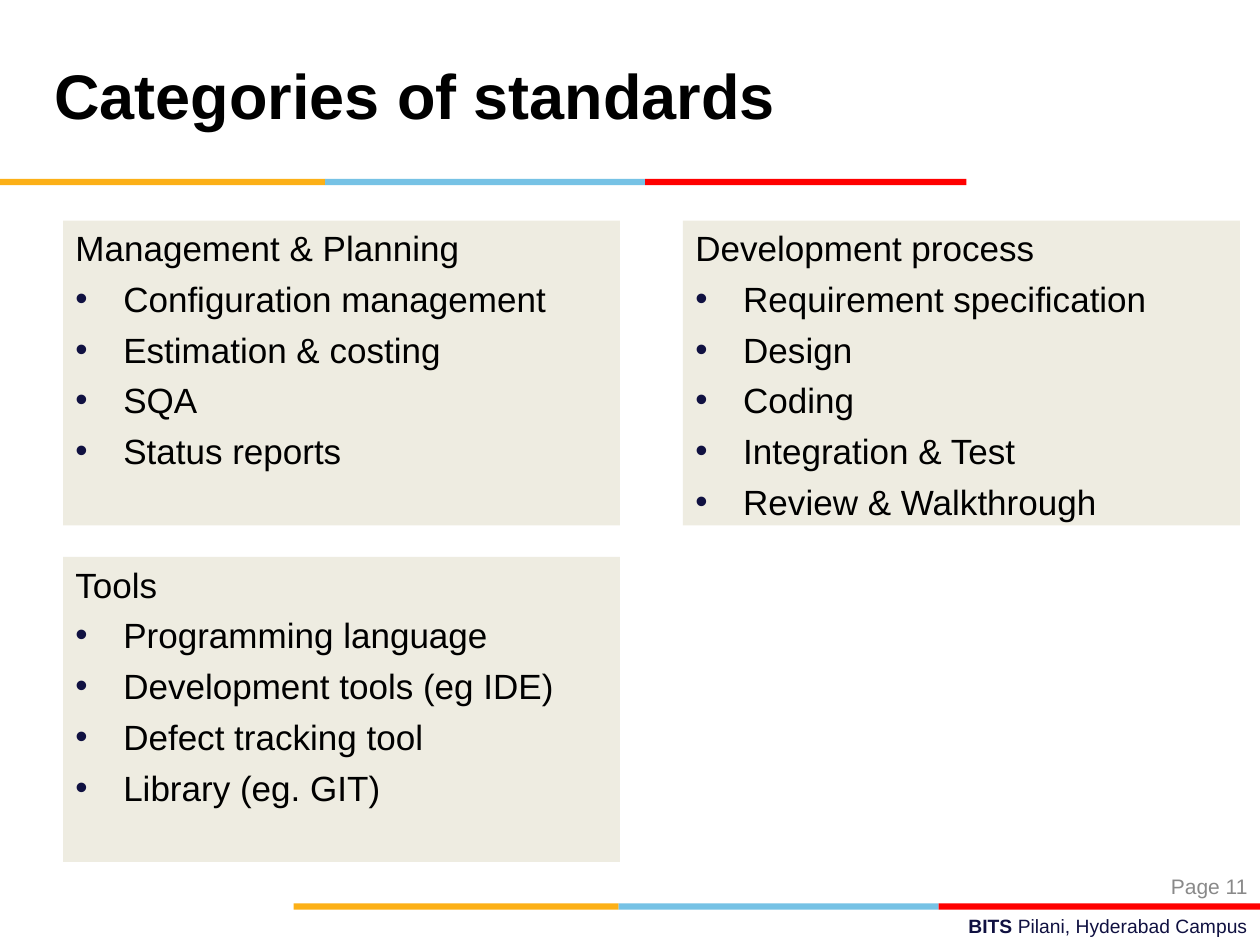
from lxml.etree import SubElement
from pptx import Presentation
from pptx.dml.color import RGBColor
from pptx.enum.shapes import MSO_SHAPE
from pptx.enum.text import MSO_ANCHOR, PP_ALIGN
from pptx.oxml.ns import qn
from pptx.util import Inches, Pt


def color(hex_text):
    return RGBColor.from_string(hex_text)


def add_span(para, text, size=20, fill="000000", bold=False, font="Arial"):
    span = para.add_run()
    span.text = text
    span.font.name = font
    span.font.size = Pt(size)
    span.font.bold = bold
    span.font.color.rgb = color(fill)


def set_hanging(para, indent, bullet_color=None):
    properties = para._p.get_or_add_pPr()
    properties.set("marL", str(Inches(indent)))
    properties.set("indent", str(-Inches(indent)))
    if bullet_color:
        bullet_fill = SubElement(properties, qn("a:buClr"))
        SubElement(bullet_fill, qn("a:srgbClr"), val=bullet_color)
        SubElement(properties, qn("a:buFont"), typeface="Arial")
        SubElement(properties, qn("a:buChar"), char="•")
    else:
        SubElement(properties, qn("a:buNone"))


class SlideBuilder:
    navy = "101141"
    gray = "898989"
    panel_fill = "EEECE1"
    stripe_fills = ("FCB017", "76C2E5", "FF0000")
    stripe_widths = (2.58, 2.54, 2.55)

    def __init__(self, deck):
        self.page = deck.slides.add_slide(deck.slide_layouts[5])

    def rectangle(self, left, top, width, height, fill):
        box = self.page.shapes.add_shape(
            MSO_SHAPE.RECTANGLE, Inches(left), Inches(top), Inches(width), Inches(height))
        box.shadow.inherit = False
        box.fill.solid()
        box.fill.fore_color.rgb = color(fill)
        box.line.fill.background()
        return box

    def stripe(self, left, top):
        for width, fill in zip(self.stripe_widths, self.stripe_fills):
            self.rectangle(left, top, width, 0.05, fill)
            left += width

    def title(self, text, left, top, width, height):
        box = self.page.shapes.title
        box.left, box.top = Inches(left), Inches(top)
        box.width, box.height = Inches(width), Inches(height)
        box.text_frame.vertical_anchor = MSO_ANCHOR.MIDDLE
        para = box.text_frame.paragraphs[0]
        para.alignment = PP_ALIGN.LEFT
        para.line_spacing = Pt(36)
        add_span(para, text, size=36, bold=True)

    def panel(self, left, top, heading, items):
        box = self.rectangle(left, top, 4.42, 2.42, self.panel_fill)
        frame = box.text_frame
        frame.word_wrap = True
        frame.vertical_anchor = MSO_ANCHOR.TOP
        for index, text in enumerate([heading, *items]):
            para = frame.add_paragraph() if index else frame.paragraphs[0]
            para.alignment = PP_ALIGN.LEFT
            set_hanging(para, 0.38, self.navy if index else None)
            if index:
                para.space_before = Pt(5)
            add_span(para, text)

    def right_label(self, left, top, width, height, spans, anchor=MSO_ANCHOR.TOP):
        box = self.page.shapes.add_textbox(
            Inches(left), Inches(top), Inches(width), Inches(height))
        box.text_frame.word_wrap = True
        box.text_frame.vertical_anchor = anchor
        para = box.text_frame.paragraphs[0]
        para.alignment = PP_ALIGN.RIGHT
        for text, style in spans:
            add_span(para, text, **style)


def main():
    deck = Presentation()
    deck.slide_width, deck.slide_height = Inches(10), Inches(7.5)
    slide = SlideBuilder(deck)

    # Title and color stripes
    slide.title("Categories of standards", 0.33, 0.17, 6.92, 1.25)
    slide.stripe(0, 1.42)
    slide.stripe(2.33, 7.17)

    # Panels on a two-column grid
    panels = [
        ("Management & Planning",
         ["Configuration management", "Estimation & costing", "SQA", "Status reports"]),
        ("Development process",
         ["Requirement specification", "Design", "Coding", "Integration & Test",
          "Review & Walkthrough"]),
        ("Tools",
         ["Programming language", "Development tools (eg IDE)", "Defect tracking tool",
          "Library (eg. GIT)"]),
    ]
    for index, (heading, items) in enumerate(panels):
        row, column = divmod(index, 2)
        slide.panel(0.5 + 4.92 * column, 1.75 + 2.67 * row, heading, items)

    # Footer
    slide.right_label(7.67, 6.83, 2.33, 0.4,
                      [("Page 11", dict(size=12, fill=slide.gray))], MSO_ANCHOR.MIDDLE)
    slide.right_label(3.58, 7.21, 6.42, 0.29, [
        ("BITS ", dict(size=11, fill=slide.navy, bold=True)),
        ("Pilani, Hyderabad Campus", dict(size=11, fill=slide.navy)),
    ])

    deck.save("out.pptx")


if __name__ == "__main__":
    main()
